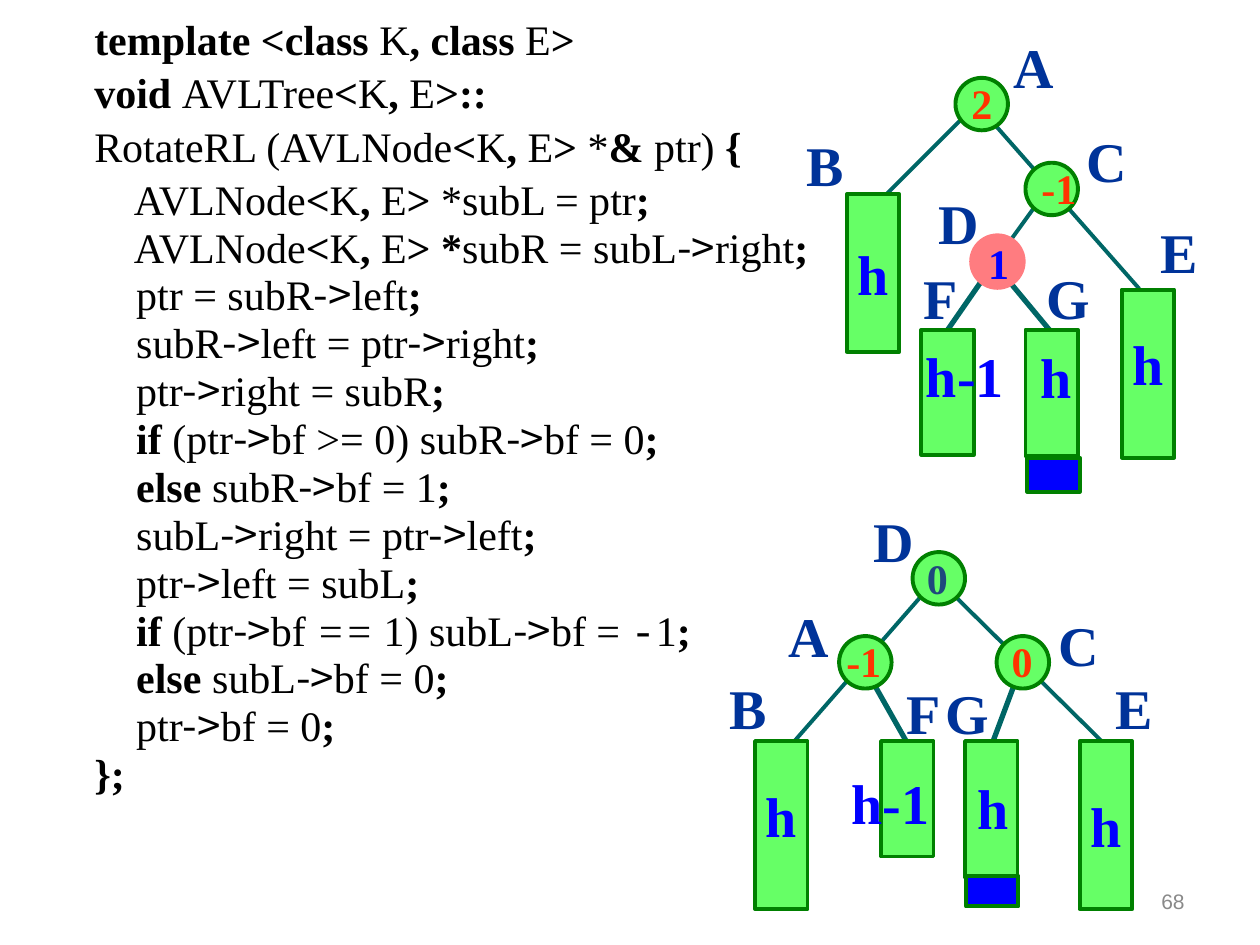
from dataclasses import dataclass

from lxml.etree import SubElement
from pptx import Presentation
from pptx.dml.color import RGBColor
from pptx.enum.shapes import MSO_CONNECTOR, MSO_SHAPE
from pptx.enum.text import MSO_ANCHOR, PP_ALIGN
from pptx.oxml.ns import qn
from pptx.slide import Slide
from pptx.util import Pt

BLACK = RGBColor(0x00, 0x00, 0x00)
GREY = RGBColor(0x89, 0x89, 0x89)
NAVY = RGBColor(0x00, 0x33, 0x99)
BLUE = RGBColor(0x00, 0x00, 0xFF)
SLATE = RGBColor(0x1F, 0x49, 0x7D)
RED = RGBColor(0xFF, 0x33, 0x00)
PINK = RGBColor(0xFF, 0x7C, 0x80)
LIME = RGBColor(0x66, 0xFF, 0x66)
GREEN = RGBColor(0x00, 0x80, 0x00)
TEAL = RGBColor(0x00, 0x66, 0x66)

SERIF, SANS, MONO = "Times New Roman", "Noto Sans CJK SC", "Courier New"
NODE_SIZE = 30
THIN, THICK = 2.25, 3
LABEL_WIDTHS = {"A": 37, "B": 35, "C": 37, "D": 37, "E": 35, "F": 34, "G": 39,
                "h": 32, "h-1": 59, "0": 26, "1": 26, "2": 26, "-1": 34.5}

# Bars switch bold on and off; backquotes enclose a specially styled symbol
CODE = [
    "|template <class |K|, class |E|>|",
    "|void |AVLTree|<|K|, |E|>::|",
    "RotateRL (AVLNode|<|K|, |E|> |*|& |ptr)| {|",
    "    AVLNode|<|K|, |E|> |*subL = ptr|;|",
    "    AVLNode|<|K|, |E|> *|subR = subL->right|;|",
    "    ptr = subR->left|;|",
    "    subR->left = ptr->right|;|",
    "    ptr->right = subR|;|",
    "|    if |(ptr->bf >= 0) subR->bf = 0|;|",
    "|    else| subR->bf = 1|;|",
    "    subL->right = ptr->left|;|",
    "    ptr->left = subL|;|",
    "|    if| (ptr->bf `==` 1) subL->bf = `-`1|;|",
    "|    else| subL->bf = 0|;|",
    "    ptr->bf = 0|;|",
    "|};|",
]
SPACED_LINES = 4


@dataclass
class Edge:
    x1: float
    y1: float
    x2: float
    y2: float
    weight: float = THIN


@dataclass
class Subtree:
    left: float
    top: float
    height: float
    text: str = ""
    spacing: float = 1.0
    fill: RGBColor = LIME


@dataclass
class Node:
    left: float
    top: float
    fill: RGBColor = LIME
    line: RGBColor = GREEN


@dataclass
class Label:
    text: str
    left: float
    top: float
    color: RGBColor = NAVY
    size: float = 32


@dataclass
class Tree:
    edges: list[Edge]
    subtrees: list[Subtree]
    nodes: list[Node]
    labels: list[Label]


BEFORE = Tree(
    [Edge(576, 160, 600.5, 189.5, THICK), Edge(566.5, 152.5, 537, 195, THICK),
     Edge(548.5, 69, 494.5, 123), Edge(566.5, 69, 651, 165),
     Edge(592.5, 116.5, 566.5, 152.5)],
    [Subtree(484, 111, 90, "h"), Subtree(641, 165.5, 96, "h", 0.6),
     Subtree(526.5, 188.5, 71.5), Subtree(586, 188.5, 72),
     Subtree(587, 261.5, 19.5, fill=BLUE)],
    [Node(586, 93), Node(546, 44.5), Node(555, 134.5, PINK, PINK)],
    [Label("A", 572, 15), Label("B", 454, 71), Label("C", 613.5, 69),
     Label("D", 529, 104), Label("E", 656, 121), Label("F", 520.5, 147),
     Label("G", 591, 147), Label("h", 587.5, 192, BLUE),
     Label("h-1", 522, 191.5, BLUE), Label("-1", 588, 89.5, RED, 24),
     Label("1", 557.5, 132, BLUE, 24), Label("2", 548, 41, RED, 24)],
)
AFTER = Tree(
    [Edge(581, 387.5, 563, 435.5, THICK), Edge(545, 340, 629.5, 423.5),
     Edge(527, 340, 443.5, 435.5), Edge(497.5, 387.5, 521.5, 430, THICK)],
    [Subtree(617, 423.5, 96, "h"), Subtree(431.5, 423.5, 96, "h", 0.6),
     Subtree(551.5, 423.5, 78), Subtree(503.5, 423.5, 66),
     Subtree(552, 500.5, 17.5, fill=BLUE)],
    [Node(479.5, 363.5), Node(521.5, 315.5), Node(569.5, 363.5)],
    [Label("A", 443.5, 340), Label("B", 409.5, 381.5), Label("C", 597.5, 345.5),
     Label("D", 492, 286), Label("E", 630.5, 381.5), Label("F", 511, 384),
     Label("G", 533.5, 384), Label("h-1", 479.5, 435.5, BLUE),
     Label("h", 551.5, 438.5, BLUE), Label("0", 571, 359.5, RED, 24),
     Label("0", 522.5, 312, SLATE, 24), Label("-1", 476.5, 359.5, RED, 24)],
)


def style_font(font, size: float, color: RGBColor, bold: bool, name: str = SERIF) -> None:
    font.name, font.size, font.bold = name, Pt(size), bold
    font.color.rgb = color


def draw_edge(page: Slide, edge: Edge) -> None:
    line = page.shapes.add_connector(
        MSO_CONNECTOR.STRAIGHT, Pt(edge.x1), Pt(edge.y1), Pt(edge.x2), Pt(edge.y2))
    line.line.color.rgb = TEAL
    line.line.width = Pt(edge.weight)
    SubElement(line._element.spPr, qn("a:effectLst"))


def draw_shape(page: Slide, kind: MSO_SHAPE, left: float, top: float, height: float,
               fill: RGBColor, line: RGBColor):
    shape = page.shapes.add_shape(kind, Pt(left), Pt(top), Pt(NODE_SIZE), Pt(height))
    shape.shadow.inherit = False
    shape.fill.solid()
    shape.fill.fore_color.rgb = fill
    shape.line.color.rgb = line
    shape.line.width = Pt(THIN)
    return shape


def draw_subtree(page: Slide, part: Subtree) -> None:
    shape = draw_shape(page, MSO_SHAPE.RECTANGLE, part.left, part.top, part.height,
                       part.fill, GREEN)
    if part.text:
        frame = shape.text_frame
        frame.text = part.text
        frame.word_wrap = False
        frame.vertical_anchor = MSO_ANCHOR.MIDDLE
        para = frame.paragraphs[0]
        para.alignment = PP_ALIGN.CENTER
        para.line_spacing = part.spacing
        style_font(para.runs[0].font, 32, BLUE, True)


def draw_label(page: Slide, label: Label) -> None:
    box = page.shapes.add_textbox(Pt(label.left), Pt(label.top),
                                  Pt(LABEL_WIDTHS[label.text]), Pt(label.size * 1.2 + 7.2))
    box.text_frame.text = label.text
    box.text_frame.word_wrap = False
    style_font(box.text_frame.paragraphs[0].runs[0].font, label.size, label.color, True)


def draw_tree(page: Slide, tree: Tree) -> None:
    for edge in tree.edges:
        draw_edge(page, edge)
    for part in tree.subtrees:
        draw_subtree(page, part)
    for node in tree.nodes:
        draw_shape(page, MSO_SHAPE.OVAL, node.left, node.top, NODE_SIZE, node.fill, node.line)
    for label in tree.labels:
        draw_label(page, label)


def write_code_line(para, line: str) -> None:
    for position, segment in enumerate(line.replace("->", "`->`").split("|")):
        for piece in filter(None, segment.split("`")):
            span = para.add_run()
            span.text = piece
            name = {"->": SANS, "-": MONO}.get(piece, SERIF)
            style_font(span.font, 24, BLACK, position % 2 == 1, name)
            span.font.italic = piece == "=="


def draw_code(page: Slide) -> None:
    frame = page.shapes.add_textbox(Pt(46.8), Pt(6.5), Pt(648), Pt(459)).text_frame
    frame.word_wrap = True
    for index, line in enumerate(CODE):
        para = frame.add_paragraph() if index else frame.paragraphs[0]
        properties = para._p.get_or_add_pPr()
        properties.set("marL", str(Pt(27)))
        properties.set("indent", str(-Pt(27)))
        para.line_spacing = 0.95
        para.space_before = Pt(3 if 0 < index < SPACED_LINES else 0)
        write_code_line(para, line)


def draw_page_number(page: Slide) -> None:
    frame = page.shapes.add_textbox(Pt(516), Pt(500.5), Pt(168), Pt(29)).text_frame
    frame.text = "68"
    frame.word_wrap = True
    frame.vertical_anchor = MSO_ANCHOR.MIDDLE
    para = frame.paragraphs[0]
    para.alignment = PP_ALIGN.RIGHT
    style_font(para.runs[0].font, 12, GREY, False, "Arial")


def main() -> None:
    deck = Presentation()
    deck.slide_width, deck.slide_height = Pt(720), Pt(540)
    page = deck.slides.add_slide(deck.slide_layouts[6])
    draw_code(page)
    draw_page_number(page)
    for tree in (BEFORE, AFTER):
        draw_tree(page, tree)
    deck.save("out.pptx")


if __name__ == "__main__":
    main()
